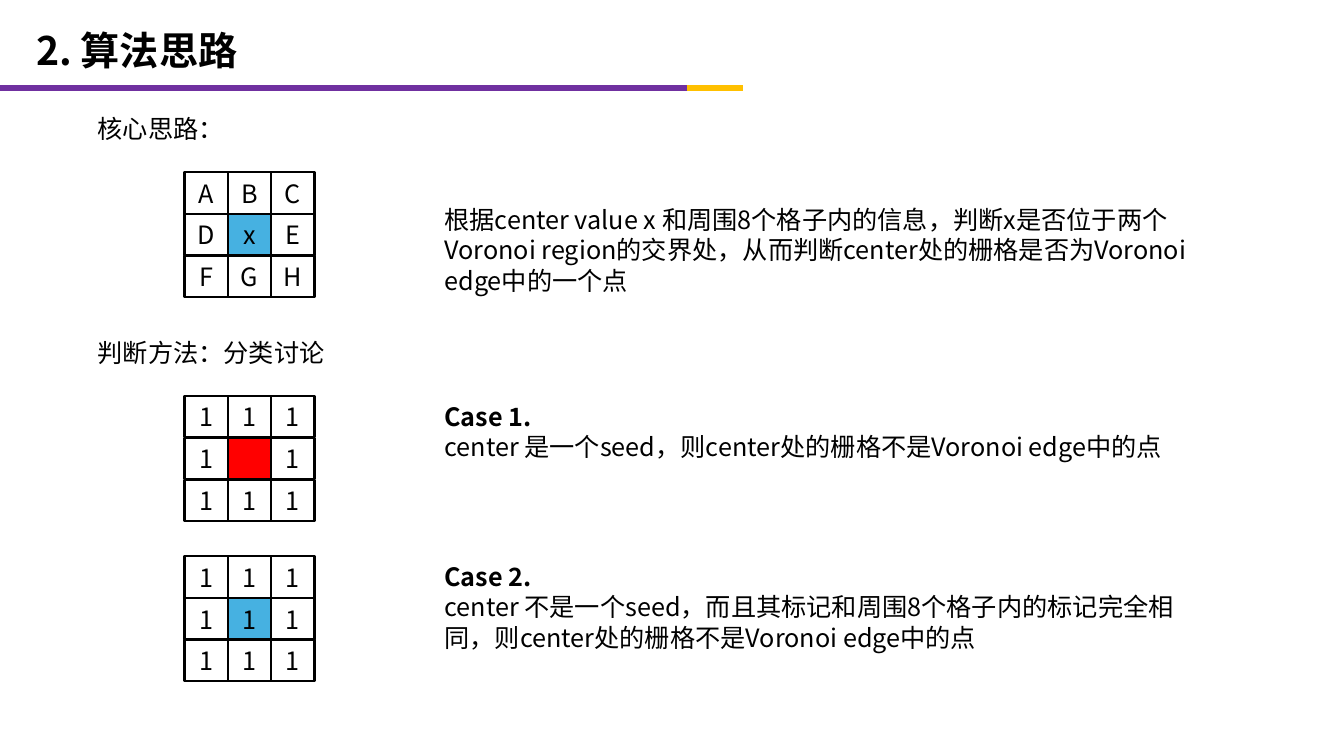
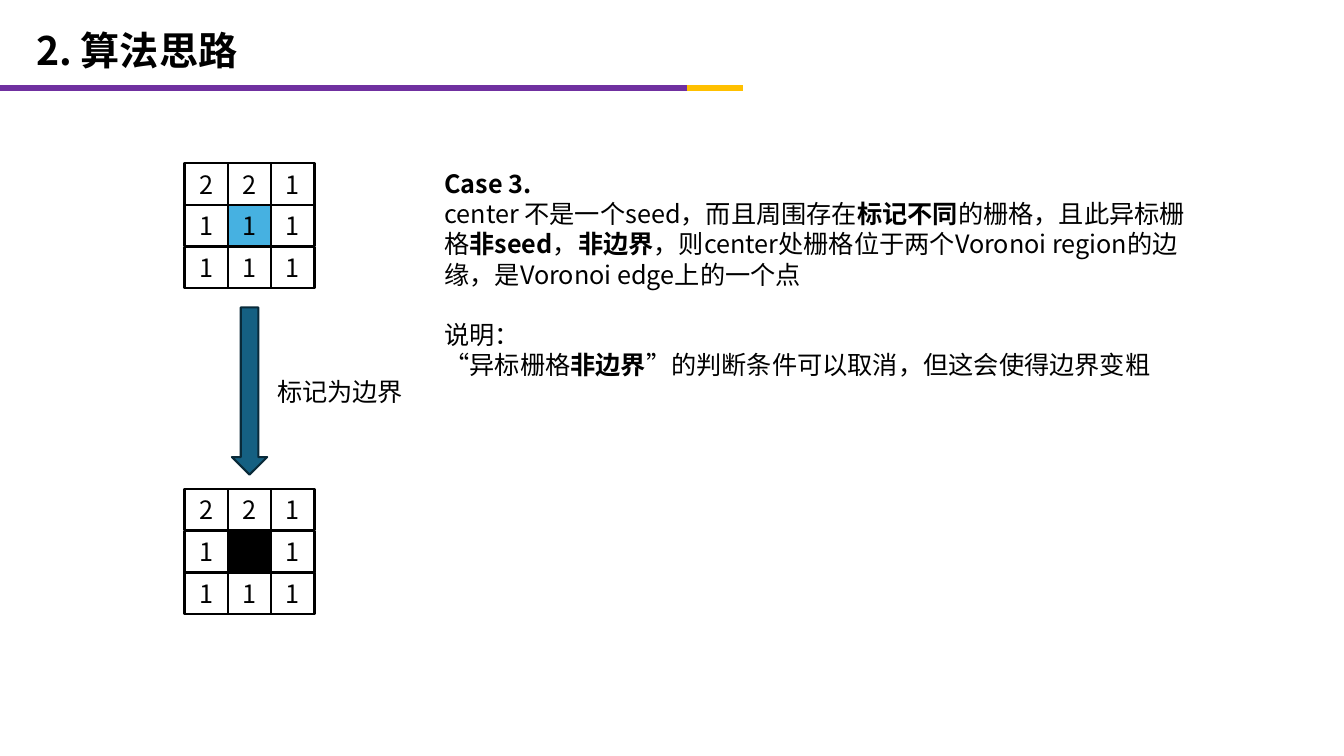
from lxml.etree import SubElement
from pptx import Presentation
from pptx.dml.color import RGBColor
from pptx.enum.shapes import MSO_CONNECTOR, MSO_SHAPE
from pptx.enum.text import MSO_ANCHOR, MSO_AUTO_SIZE, PP_ALIGN
from pptx.oxml.ns import qn
from pptx.util import Inches, Pt

# Shared style
FONT = "Noto Sans CJK SC"
BODY_SIZE, TITLE_SIZE = 18, 28
BLACK, BLUE, RED = "000000", "46B1E1", "FF0000"
PURPLE, GOLD = "7030A0", "FFC000"
ARROW_FILL, ARROW_EDGE = "156082", "092A39"
TITLE = "2. 算法思路"

# Shared layout, in inches
RULE_Y = 0.87
GRID_X, CELL_W, CELL_H, ROW_PITCH = 1.83, 0.43, 0.41, 0.415
TEXT_X, TEXT_W = 4.31, 7.61
LABEL_X, LABEL_H = 0.87, 0.4


def color(hex_value):
    return RGBColor.from_string(hex_value)


def add_run(paragraph, text, size=BODY_SIZE, bold=False):
    run = paragraph.add_run()
    run.text = text
    run.font.size = Pt(size)
    run.font.bold = bold
    run.font.name = FONT
    run.font.color.rgb = color(BLACK)
    SubElement(run.font._element, qn("a:ea"), typeface=FONT)


def add_text(slide, x, y, w, h, paragraphs, size=BODY_SIZE, wrap=True):
    """Each paragraph is (space before, [(text, bold), ...])."""
    frame = slide.shapes.add_textbox(
        Inches(x), Inches(y), Inches(w), Inches(h)).text_frame
    frame.word_wrap = wrap
    frame.auto_size = MSO_AUTO_SIZE.SHAPE_TO_FIT_TEXT
    for index, (gap, runs) in enumerate(paragraphs):
        paragraph = frame.add_paragraph() if index else frame.paragraphs[0]
        if gap:
            paragraph.space_before = Pt(gap)
        for text, bold in runs:
            add_run(paragraph, text, size, bold)


def add_label(slide, x, y, w, text):
    add_text(slide, x, y, w, LABEL_H, [(0, [(text, False)])], wrap=False)


def add_case(slide, y, h, heading, explanation):
    add_text(slide, TEXT_X, y, TEXT_W, h,
             [(0, [(heading, True)]), (0, [(explanation, False)])])


def add_outlined(slide, kind, x, y, w, h, fill, edge):
    outlined = slide.shapes.add_shape(
        kind, Inches(x), Inches(y), Inches(w), Inches(h))
    outlined.shadow.inherit = False
    if fill:
        outlined.fill.solid()
        outlined.fill.fore_color.rgb = color(fill)
    else:
        outlined.fill.background()
    outlined.line.color.rgb = color(edge)
    outlined.line.width = Pt(1.5)
    return outlined


def add_grid(slide, y, rows, center_fill):
    """Draw a 3 by 3 neighbourhood; a space leaves its cell empty."""
    for row, marks in enumerate(rows):
        for column, mark in enumerate(marks):
            fill = center_fill if (row, column) == (1, 1) else None
            cell = add_outlined(
                slide, MSO_SHAPE.RECTANGLE, GRID_X + column * CELL_W,
                y + row * ROW_PITCH, CELL_W, CELL_H, fill, BLACK)
            if mark != " ":
                frame = cell.text_frame
                frame.vertical_anchor = MSO_ANCHOR.MIDDLE
                frame.paragraphs[0].alignment = PP_ALIGN.CENTER
                add_run(frame.paragraphs[0], mark)


def add_rule(slide, start, end, hex_value):
    rule = slide.shapes.add_connector(
        MSO_CONNECTOR.STRAIGHT,
        Inches(start), Inches(RULE_Y), Inches(end), Inches(RULE_Y))
    rule.line.color.rgb = color(hex_value)
    rule.line.width = Pt(4.5)
    SubElement(rule._element.spPr, qn("a:effectLst"))


def new_slide(deck):
    slide = deck.slides.add_slide(deck.slide_layouts[6])
    add_rule(slide, 0, 6.81, PURPLE)
    add_rule(slide, 6.81, 7.37, GOLD)
    add_text(slide, 0.26, 0.21, 3.85, 0.57, [(0, [(TITLE, True)])], TITLE_SIZE)
    return slide


def build_idea(deck):
    slide = new_slide(deck)

    # Core idea
    add_label(slide, LABEL_X, 1.08, 1.46, "核心思路：")
    add_grid(slide, 1.71, ["ABC", "DxE", "FGH"], BLUE)
    add_text(slide, TEXT_X, 1.98, TEXT_W, 1.01, [(0, [(
        "根据center value x 和周围8个格子内的信息，判断x是否位于两个Voronoi "
        "region的交界处，从而判断center处的栅格是否为Voronoi edge中的一个点",
        False)])])

    # Cases 1 and 2
    add_label(slide, LABEL_X, 3.3, 2.47, "判断方法：分类讨论")
    add_grid(slide, 3.93, ["111", "1 1", "111"], RED)
    add_case(slide, 3.93, 0.71, "Case 1.",
             "center 是一个seed，则center处的栅格不是Voronoi edge中的点")
    add_grid(slide, 5.52, ["111"] * 3, BLUE)
    add_case(slide, 5.52, 1.01, "Case 2.",
             "center 不是一个seed，而且其标记和周围8个格子内的标记完全相同，"
             "则center处的栅格不是Voronoi edge中的点")


def build_edge_case(deck):
    slide = new_slide(deck)

    # Grid before and after marking
    add_grid(slide, 1.62, ["221", "111", "111"], BLUE)
    add_outlined(slide, MSO_SHAPE.DOWN_ARROW, 2.3, 3.05, 0.35, 1.66,
                 ARROW_FILL, ARROW_EDGE)
    add_label(slide, 2.65, 3.68, 1.46, "标记为边界")
    add_grid(slide, 4.85, ["221", "1 1", "111"], BLACK)

    # Case 3 and its remark
    add_text(slide, TEXT_X, 1.62, TEXT_W, 2.22, [
        (0, [("Case 3.", True)]),
        (0, [("center 不是一个seed，而且周围存在", False),
             ("标记不同", True),
             ("的栅格，且此异标栅格", False),
             ("非seed", True),
             ("，", False),
             ("非边界", True),
             ("，则center处栅格位于两个Voronoi region的边缘，"
              "是Voronoi edge上的一个点", False)]),
        (21.6, [("说明：", False)]),
        (0, [("“异标栅格", False),
             ("非边界", True),
             ("”的判断条件可以取消，但这会使得边界变粗", False)]),
    ])


def main():
    deck = Presentation()
    deck.slide_width, deck.slide_height = Inches(13.33), Inches(7.5)
    build_idea(deck)
    build_edge_case(deck)
    deck.save("out.pptx")


if __name__ == "__main__":
    main()
